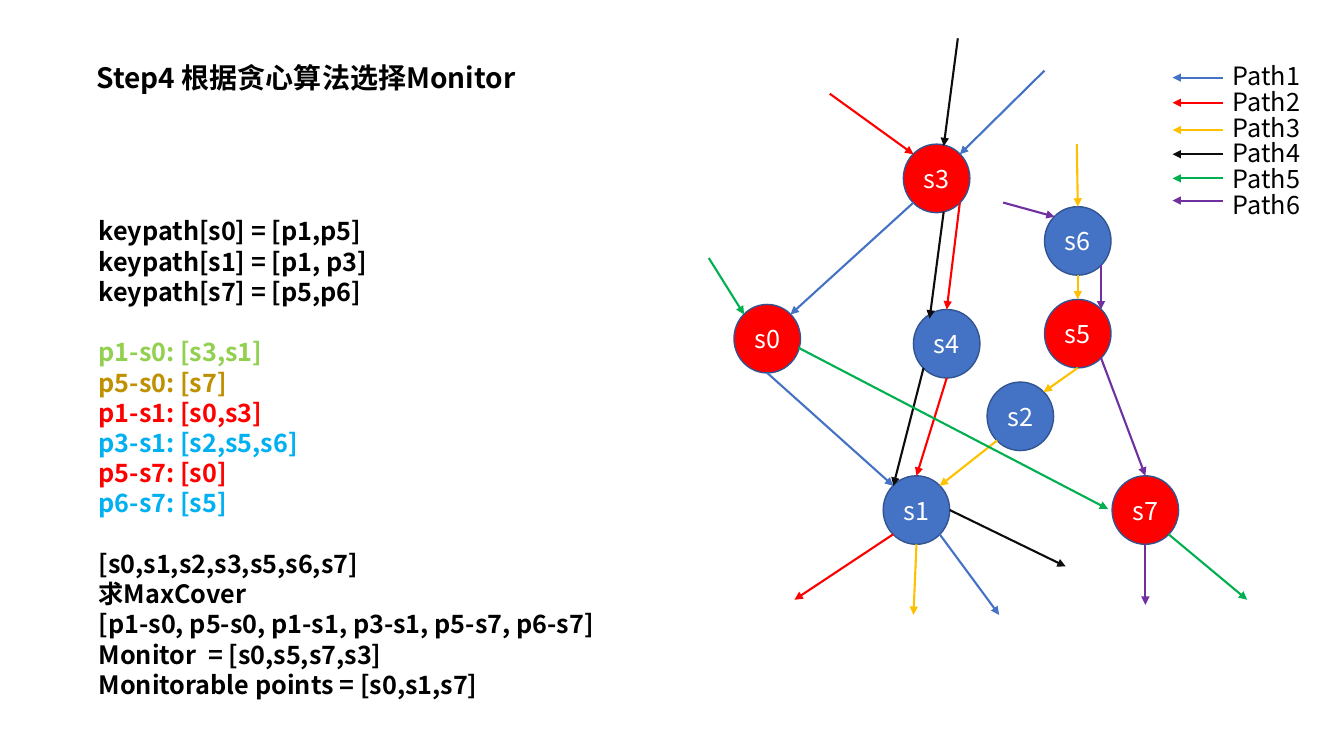
"""Build the Step4 slide: greedy monitor selection on a graph of six paths."""
from lxml.etree import SubElement
from pptx import Presentation
from pptx.dml.color import RGBColor as Rgb
from pptx.enum.shapes import MSO_CONNECTOR as Connector, MSO_SHAPE as Shape
from pptx.enum.text import MSO_ANCHOR as Anchor, PP_ALIGN as Align
from pptx.oxml.ns import qn
from pptx.util import Inches, Pt

FONT = "Noto Sans CJK SC"
BLACK, WHITE = Rgb(0, 0, 0), Rgb(255, 255, 255)
BLUE, OUTLINE = Rgb(0x44, 0x72, 0xC4), Rgb(0x32, 0x54, 0x91)
RED, AMBER, INK = Rgb(255, 0, 0), Rgb(255, 0xC0, 0), Rgb(13, 13, 13)
GREEN, PURPLE = Rgb(0, 0xB0, 0x50), Rgb(0x70, 0x30, 0xA0)
LIME, OCHRE, SKY = Rgb(0x92, 0xD0, 0x50), Rgb(0xBF, 0x90, 0), Rgb(0, 0xB0, 0xF0)

TITLE = "Step4 根据贪心算法选择Monitor"
STEPS = [
    [("keypath[s0] = [p1,p5]", BLACK),
     ("keypath[s1] = [p1, p3]", BLACK),
     ("keypath[s7] = [p5,p6]", BLACK)],
    [("p1-s0: [s3,s1]", LIME),
     ("p5-s0: [s7]", OCHRE),
     ("p1-s1: [s0,s3]", RED),
     ("p3-s1: [s2,s5,s6]", SKY),
     ("p5-s7: [s0]", RED),
     ("p6-s7: [s5]", SKY)],
    [("[s0,s1,s2,s3,s5,s6,s7]", BLACK),
     ("求MaxCover", BLACK),
     ("[p1-s0, p5-s0, p1-s1, p3-s1, p5-s7, p6-s7]", BLACK),
     ("Monitor  = [s0,s5,s7,s3] ", BLACK),
     ("Monitorable points = [s0,s1,s7]", BLACK)],
]
MONITORS = {"s0", "s3", "s5", "s7"}
NODES = {
    "s0": (7.28, 3.02), "s1": (8.76, 4.72), "s2": (9.79, 3.79), "s3": (8.96, 1.43),
    "s4": (9.06, 3.07), "s5": (10.36, 2.97), "s6": (10.36, 2.05), "s7": (11.03, 4.72),
}
PATHS = [
    ("Path1", BLUE, 0.77, [((10.36, 0.7), "s3 ne"), ("s3 sw", "s0 ne"),
                           ("s0 s", "s1 nw"), ("s1 se", (9.91, 6.1))]),
    ("Path2", RED, 1.02, [((8.23, 0.93), "s3 nw"), ("s3 se", "s4 n"),
                          ("s4 s", "s1 n"), ("s1 sw", (7.88, 5.95))]),
    ("Path3", AMBER, 1.29, [((10.68, 1.43), "s6 n"), ("s6 s", "s5 n"), ("s5 s", "s2 ne"),
                            ("s2 sw", "s1 ne"), ("s1 s", (9.06, 6.1))]),
    ("Path4", INK, 1.53, [((9.5, 0.38), (9.36, 1.45)), ((9.36, 2.1), (9.22, 3.16)),
                          ("s4 sw", "s1 nw"), ("s1 e", (10.57, 5.62))]),
    ("Path5", GREEN, 1.77, [((7.03, 2.56), "s0 nw"), ((7.92, 3.45), (10.99, 5.05)),
                            ("s7 se", (12.37, 5.95))]),
    ("Path6", PURPLE, 1.99, [((9.95, 2.01), "s6 nw"), ("s6 se", "s5 ne"),
                             ("s5 se", "s7 n"), ("s7 s", (11.36, 6))]),
]
NODE_W, NODE_H, CORNER = 0.66, 0.68, 0.1
KEY_LEFT, KEY_RIGHT, KEY_TOP, KEY_PITCH = 11.63, 12.13, 0.55, 0.256

deck = Presentation()
deck.slide_width, deck.slide_height = Inches(13.33), Inches(7.5)
slide = deck.slides.add_slide(deck.slide_layouts[6])


def write(paragraph, words, color, size=18, bold=False):
    paragraph.line_spacing = Pt(size * 1.2)
    run = paragraph.add_run()
    run.text = words
    font = run.font
    font.name, font.size, font.bold = FONT, Pt(size), bold
    font.color.rgb = color
    SubElement(font._element, qn("a:ea")).set("typeface", FONT)


def add_text(left, top, width, height):
    frame = slide.shapes.add_textbox(*map(Inches, (left, top, width, height))).text_frame
    frame.word_wrap = True
    return frame


def add_node(name, left, top):
    node = slide.shapes.add_shape(Shape.OVAL, *map(Inches, (left, top, NODE_W, NODE_H)))
    node.shadow.inherit = False
    node.fill.solid()
    node.fill.fore_color.rgb = RED if name in MONITORS else BLUE
    node.line.color.rgb, node.line.width = OUTLINE, Pt(1)
    frame = node.text_frame
    frame.word_wrap, frame.vertical_anchor = False, Anchor.MIDDLE
    frame.margin_left = frame.margin_right = 0
    frame.paragraphs[0].alignment = Align.CENTER
    write(frame.paragraphs[0], name, WHITE)


def locate(end):
    if isinstance(end, tuple):
        return end
    name, side = end.split()
    left, top = NODES[name]
    inset = CORNER if len(side) == 2 else 0
    x = inset if "w" in side else NODE_W - inset if "e" in side else NODE_W / 2
    y = inset if "n" in side else NODE_H - inset if "s" in side else NODE_H / 2
    return left + x, top + y


def add_arrow(start, end, color):
    ends = map(Inches, (*locate(start), *locate(end)))
    arrow = slide.shapes.add_connector(Connector.STRAIGHT, *ends)
    arrow.line.color.rgb, arrow.line.width = color, Pt(1.5)
    SubElement(arrow.line._get_or_add_ln(), qn("a:tailEnd")).set("type", "triangle")
    SubElement(arrow._element.spPr, qn("a:effectLst"))


write(add_text(0.86, 0.55, 5.6, 0.44).paragraphs[0], TITLE, BLACK, 20, True)

steps = add_text(0.88, 2.09, 6.18, 5.0)
for group_index, group in enumerate(STEPS):
    for line_index, (words, color) in enumerate(group):
        first = group_index == line_index == 0
        paragraph = steps.paragraphs[0] if first else steps.add_paragraph()
        if group_index and not line_index:
            paragraph.space_before = Pt(21.6)
        write(paragraph, words, color, bold=True)

for name, corner in NODES.items():
    add_node(name, *corner)

for index, (label, color, key_y, hops) in enumerate(PATHS):
    for start, end in hops:
        add_arrow(start, end, color)
    add_arrow((KEY_RIGHT, key_y), (KEY_LEFT, key_y), color)
    key = add_text(KEY_RIGHT, KEY_TOP + index * KEY_PITCH, 1.06, 0.4)
    write(key.paragraphs[0], label, BLACK)

deck.save("out.pptx")
